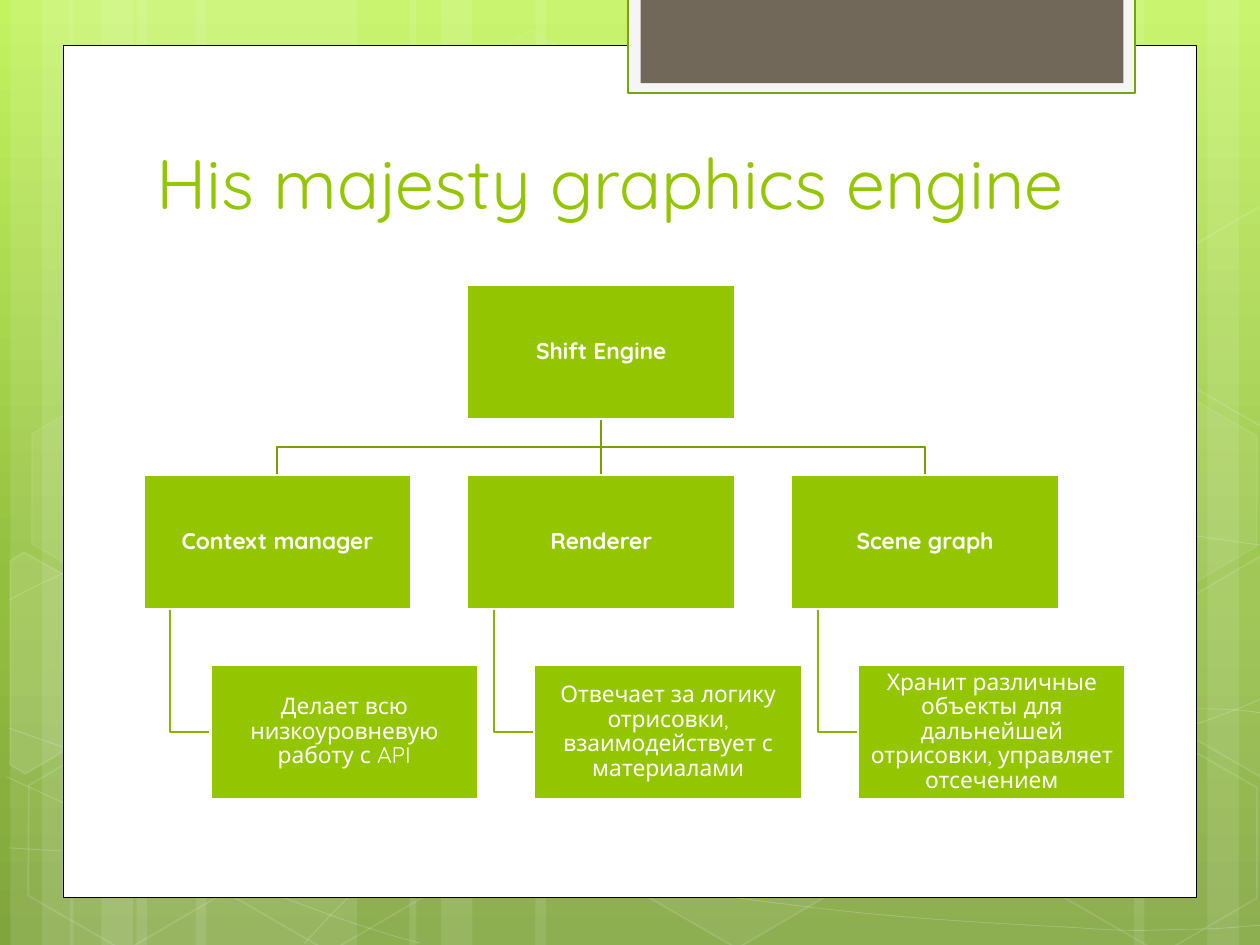
from copy import deepcopy
from math import cos, radians, sin

from lxml import etree
from pptx import Presentation
from pptx.dml.color import RGBColor
from pptx.enum import shapes, text
from pptx.oxml.ns import qn
from pptx.util import Pt

WHITE = RGBColor(0xFF, 0xFF, 0xFF)
BLACK = RGBColor(0x00, 0x00, 0x00)
SMOKE = RGBColor(0xF5, 0xF5, 0xF5)
BROWN = RGBColor(0x71, 0x68, 0x5A)
GREEN = RGBColor(0x94, 0xC6, 0x00)
FRAME_GREEN = RGBColor(0x74, 0xA5, 0x10)
BRANCH_GREEN = RGBColor(0x77, 0x9F, 0x00)
LEAF_GREEN = RGBColor(0x86, 0xB4, 0x00)
GRADIENT = [(0, RGBColor(0xC3, 0xF3, 0x5F)), (0.62, RGBColor(0x93, 0xBF, 0x3F)),
            (1, RGBColor(0x81, 0xA5, 0x3E))]
FONT = "Quicksand"

prs = Presentation()
prs.slide_width, prs.slide_height = Pt(720), Pt(540)
s = prs.slides.add_slide(prs.slide_layouts[5])


def style(sp, fill=None, line=None, width=1, fill_alpha=100, line_alpha=100):
    sp.shadow.inherit = False
    for fmt, color, alpha in ((sp.fill, fill, fill_alpha), (sp.line.fill, line, line_alpha)):
        if color is None:
            fmt.background()
            continue
        fmt.solid()
        fmt.fore_color.rgb = color
        if alpha < 100:
            clr = fmt._xPr.find(qn("a:solidFill"))[0]
            etree.SubElement(clr, qn("a:alpha")).set("val", str(alpha * 1000))
    if line is not None:
        sp.line.width = Pt(width)


def outline(points, close=False):
    pts = [(Pt(x), Pt(y)) for x, y in points]
    fb = s.shapes.build_freeform(*pts[0])
    fb.add_line_segments(pts[1:], close=close)
    return fb.convert_to_shape()


bg = s.background.fill
bg.gradient()
bg.gradient_angle = 270
stops = s._element.xpath(".//a:gsLst")[0]
stops.append(deepcopy(stops[-1]))
for stop, (pos, color) in zip(bg.gradient_stops, GRADIENT):
    stop.position = pos
    stop.color.rgb = color

stripes = [(78, 126), (6, 36), (24, 60), (112, 126), (40, 36), (58, 60), (528, 126),
           (690, 36), (648, 60), (306, 222), (234, 36), (252, 60)]
for x, w in stripes:
    sp = s.shapes.add_shape(shapes.MSO_SHAPE.RECTANGLE, Pt(x), 0, Pt(w), Pt(540))
    style(sp, WHITE, fill_alpha=10)

curves = [
    [(5, 484.5), (44, 487), (83, 489), (137, 488), (191, 487), (258, 486), (330, 479),
     (402, 472), (504, 458), (570, 444), (636, 431), (703, 409), (725, 397)],
    [(5, 343), (26, 332), (47, 321), (87, 310), (128, 299), (186, 284), (250, 279),
     (314, 274), (392, 273), (471, 279), (550, 284), (682, 307), (725, 312)],
    [(4, 444), (91, 484), (178, 523), (240, 539)],
    [(5, 416), (27, 424), (50, 432), (92, 443.5), (134, 454), (197, 472), (257, 484.5),
     (317, 497), (392, 510), (452, 517), (512, 525), (576, 528), (614, 530),
     (652, 533), (662, 531), (680, 531), (699, 531), (712, 529), (725, 528.5)],
    [(174, 539), (187, 525), (200, 510), (217, 497.5), (235, 485), (259, 470), (279, 460),
     (300, 450), (312, 446), (338, 438.5), (364, 431), (413, 421), (438, 416),
     (464, 411), (467, 411), (490, 409.5), (512, 408), (547, 405), (572, 405),
     (597, 404), (638, 405), (638, 405), (654, 405), (670, 405), (686, 405),
     (699, 405), (711, 406), (718, 407), (724, 407.5), (722, 407), (724, 407.5)],
]
for curve in curves:
    sp = outline(curve)
    segments = sp._element.xpath(".//a:lnTo")
    for i in range(0, len(segments), 3):
        bezier = etree.Element(qn("a:cubicBezTo"))
        segments[i].addprevious(bezier)
        for segment in segments[i:i + 3]:
            bezier.append(segment[0])
            segment.getparent().remove(segment)
    style(sp, line=WHITE, width=0.5, line_alpha=20)

hexagons = [(240.5, 26, 4, 8), (358, 424, 6, 12), (8, 425.5, 0, 12), (10, 224.5, 7, 8),
            (125, 426, 0, 12), (542, 326, 10, 12), (600.5, 427, 0, 12), (600.5, 226, 7, 8)]
for x, y, fill_alpha, line_alpha in hexagons:
    sp = s.shapes.add_shape(shapes.MSO_SHAPE.HEXAGON, Pt(x), Pt(y), Pt(126), Pt(109.5))
    sp.adjustments[0] = 0.285
    sp.rotation = 30
    style(sp, WHITE if fill_alpha else None, WHITE, 1, fill_alpha, line_alpha)

TILT = radians(30)
cut_hexagons = [
    (25.9, 385.2, 10, [(5.8, 320.4), (13.7, 315.4), (69.1, 347), (68.4, 410.4),
                       (14.4, 442.1), (5.8, 437)]),
    (709.2, 374.4, 4, [(666.7, 349.2), (720.7, 317.5), (726.5, 321.1), (726.5, 441.4),
                       (721.4, 444.2), (666.7, 412.6)]),
    (709.2, 173.5, 0, [(666.7, 149), (720.7, 117.4), (727, 121), (726.5, 241.2),
                       (721.4, 244.1), (666.7, 212.4)]),
]
for cx, cy, fill_alpha, points in cut_hexagons:
    level = [(cx + (x - cx) * cos(TILT) + (y - cy) * sin(TILT),
              cy - (x - cx) * sin(TILT) + (y - cy) * cos(TILT)) for x, y in points]
    sp = outline(level, close=True)
    sp.rotation = 30
    style(sp, WHITE if fill_alpha else None, WHITE, 1, fill_alpha, 12)

panels = [(36, 26, 648, 487, WHITE, BLACK, 0.5),
          (359, -1.5, 289.75, 54.5, SMOKE, FRAME_GREEN, 1.25),
          (366, -1.5, 276, 49, BROWN, None, 0)]
for x, y, w, h, fill, line, width in panels:
    sp = s.shapes.add_shape(shapes.MSO_SHAPE.RECTANGLE, Pt(x), Pt(y), Pt(w), Pt(h))
    style(sp, fill, line, width)

title = s.shapes.title
s.shapes._spTree.append(title._element)
title.left, title.top, title.width, title.height = Pt(82), Pt(71.5), Pt(553), Pt(60)
tf = title.text_frame
tf.text = "His majesty graphics engine"
tf.vertical_anchor = text.MSO_ANCHOR.BOTTOM
tf.auto_size = text.MSO_AUTO_SIZE.NONE
p = tf.paragraphs[0]
p.alignment = text.PP_ALIGN.LEFT
p.font.name, p.font.size, p.font.color.rgb = FONT, Pt(40), GREEN

BOX_W, BOX_H = 152.9, 76.45
LEFT, COL_STEP = 82.1, 185
TOP, ROW_STEP = 162.9, 108.55
CHILD_INDENT, STEM_INDENT = 38.2, 15.3
columns = [
    ("Context manager", "Делает всю низкоуровневую работу с API"),
    ("Renderer", "Отвечает за логику отрисовки, взаимодействует с материалами"),
    ("Scene graph", "Хранит различные объекты для дальнейшей отрисовки, управляет отсечением"),
]
root_x = LEFT + COL_STEP
root_mid = root_x + BOX_W / 2
root_bottom = TOP + BOX_H
row2, row3 = TOP + ROW_STEP, TOP + 2 * ROW_STEP
bus_y = (root_bottom + row2) / 2

boxes = [(root_x, TOP, "Shift Engine", True)]
for i, (name, role) in enumerate(columns):
    x = LEFT + i * COL_STEP
    mid, stem, leaf_y = x + BOX_W / 2, x + STEM_INDENT, row3 + BOX_H / 2
    bend = [] if x == root_x else [(root_mid, bus_y), (mid, bus_y)]
    branch = [(root_mid, root_bottom), *bend, (mid, row2)]
    leaf = [(stem, row2 + BOX_H), (stem, leaf_y), (x + CHILD_INDENT, leaf_y)]
    style(outline(leaf), line=LEAF_GREEN, width=1.25)
    style(outline(branch), line=BRANCH_GREEN, width=1.25)
    boxes += [(x, row2, name, True), (x + CHILD_INDENT, row3, role, False)]

for x, y, label, bold in boxes:
    sp = s.shapes.add_shape(shapes.MSO_SHAPE.RECTANGLE, Pt(x), Pt(y), Pt(BOX_W), Pt(BOX_H))
    style(sp, GREEN, WHITE, 1.25)
    tf = sp.text_frame
    tf.word_wrap = True
    tf.vertical_anchor = text.MSO_ANCHOR.MIDDLE
    tf.margin_left = tf.margin_right = tf.margin_top = tf.margin_bottom = Pt(0.7)
    tf.text = label
    p = tf.paragraphs[0]
    p.alignment = text.PP_ALIGN.CENTER
    p.line_spacing = 0.9
    p.font.name, p.font.size, p.font.bold = FONT, Pt(13), bold
    p.font.color.rgb = WHITE

prs.save("out.pptx")
